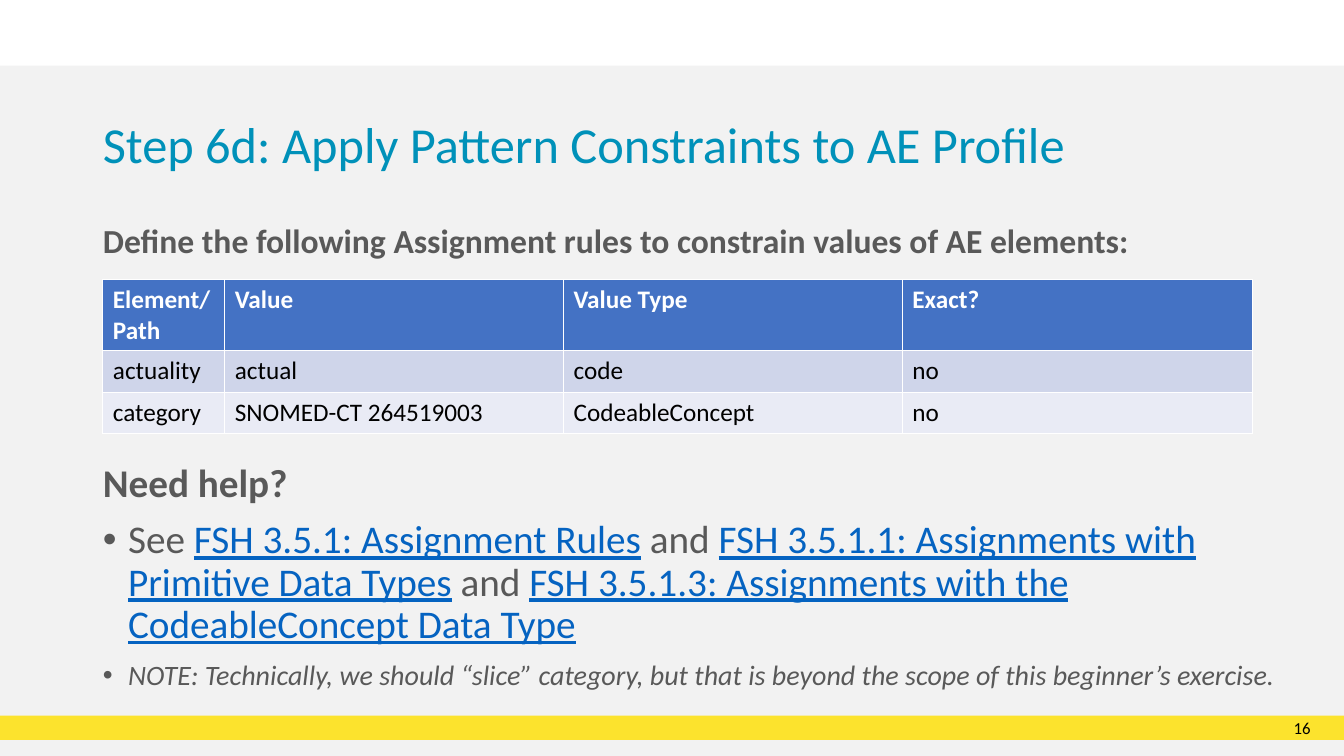
from lxml import etree
from pptx import Presentation
from pptx.dml.color import RGBColor
from pptx.enum.shapes import MSO_SHAPE
from pptx.enum.text import MSO_ANCHOR, MSO_AUTO_SIZE, PP_ALIGN
from pptx.oxml.ns import qn
from pptx.util import Inches, Pt

RECTANGLE = MSO_SHAPE.RECTANGLE
TOP, MIDDLE = MSO_ANCHOR.TOP, MSO_ANCHOR.MIDDLE
LEFT, RIGHT = PP_ALIGN.LEFT, PP_ALIGN.RIGHT
NO_AUTOFIT = MSO_AUTO_SIZE.NONE

WHITE = RGBColor(0xFF, 0xFF, 0xFF)
BLACK = RGBColor(0, 0, 0)
PANEL_GREY = RGBColor(0xF2, 0xF2, 0xF2)
YELLOW = RGBColor(0xFC, 0xE3, 0x2D)
TEAL = RGBColor(0x00, 0x91, 0xB9)
TEXT_GREY = RGBColor(0x59, 0x59, 0x59)
LINK_BLUE = RGBColor(0x05, 0x63, 0xC1)
HEADER_BLUE = RGBColor(0x44, 0x72, 0xC4)
ROW_FILLS = [RGBColor(0xCF, 0xD5, 0xEA), RGBColor(0xE9, 0xEB, 0xF5)]
FONT = "Calibri"

TITLE = "Step 6d: Apply Pattern Constraints to AE Profile"
INTRO = "Define the following Assignment rules to constrain values of AE elements:"
RULES = [
    ("Element/Path", "Value", "Value Type", "Exact?"),
    ("actuality", "actual", "code", "no"),
    ("category", "SNOMED-CT 264519003", "CodeableConcept", "no"),
]
HELP_HEADING = "Need help?"
# (text, is it a reference)
HELP_RUNS = [
    ("See ", False),
    ("FSH 3.5.1: Assignment Rules", True),
    (" and ", False),
    ("FSH 3.5.1.1: Assignments with Primitive Data Types", True),
    (" and ", False),
    ("FSH 3.5.1.3: Assignments with the CodeableConcept Data Type", True),
]
NOTE = ("NOTE: Technically, we should “slice” category, but that is beyond "
        "the scope of this beginner’s exercise.")
PAGE_NUMBER = "16"

SLIDE_W, SLIDE_H = 13.33, 7.5
MARGIN, BODY_W = 0.92, 11.86
PANEL_TOP = 0.65
STRIPE_TOP, STRIPE_H = 7.1, 0.24
COLUMN_WIDTHS = [1.21, 3.36, 3.36, 3.47]
ROW_HEIGHTS = [0.7, 0.41, 0.41]


def place(shape, left, top, width, height):
    shape.left, shape.top = Inches(left), Inches(top)
    shape.width, shape.height = Inches(width), Inches(height)
    frame = shape.text_frame
    frame.word_wrap = True
    frame.auto_size = NO_AUTOFIT
    frame.vertical_anchor = TOP
    return frame


def style(paragraph, size, color, bold=False, italic=False):
    font = paragraph.font
    font.name, font.size, font.bold, font.italic = FONT, Pt(size), bold, italic
    font.color.rgb = color


def body_style(paragraph, size, color=TEXT_GREY, bullet=False, before=0, **emphasis):
    paragraph.alignment = LEFT
    paragraph.line_spacing = 0.9
    paragraph.space_before = Pt(before)
    properties = paragraph._p.get_or_add_pPr()
    indent = Inches(0.25) if bullet else 0
    properties.set("marL", str(indent))
    properties.set("indent", str(-indent))
    if bullet:
        etree.SubElement(properties, qn("a:buFont")).set("typeface", "Arial")
        etree.SubElement(properties, qn("a:buChar")).set("char", "•")
    else:
        etree.SubElement(properties, qn("a:buNone"))
    style(paragraph, size, color, **emphasis)


def add_band(slide, order, top, height, color):
    """Full-width bar, put behind the placeholders."""
    band = slide.shapes.add_shape(RECTANGLE, 0, Inches(top),
                                  Inches(SLIDE_W), Inches(height))
    band.shadow.inherit = False
    band.fill.solid()
    band.fill.fore_color.rgb = color
    band.line.fill.background()
    band._element.getparent().insert(2 + order, band._element)


def add_rules_table(slide):
    table = slide.shapes.add_table(
        len(RULES), len(COLUMN_WIDTHS), Inches(MARGIN + 0.1), Inches(2.77),
        Inches(sum(COLUMN_WIDTHS)), Inches(sum(ROW_HEIGHTS))).table
    for column, width in zip(table.columns, COLUMN_WIDTHS):
        column.width = Inches(width)
    for r, rule in enumerate(RULES):
        table.rows[r].height = Inches(ROW_HEIGHTS[r])
        header = r == 0
        for c, value in enumerate(rule):
            cell = table.cell(r, c)
            cell.text = value
            cell.fill.solid()
            cell.fill.fore_color.rgb = HEADER_BLUE if header else ROW_FILLS[r - 1]
            style(cell.text_frame.paragraphs[0], 18,
                  WHITE if header else BLACK, bold=header)


def add_help(placeholder):
    frame = place(placeholder, MARGIN, 4.55, BODY_W, 2.44)
    frame.text = HELP_HEADING
    body_style(frame.paragraphs[0], 28, bold=True)

    references = frame.add_paragraph()
    body_style(references, 28, bullet=True, before=10)
    for text, is_reference in HELP_RUNS:
        run = references.add_run()
        run.text = text
        run.font.size = Pt(28)
        run.font.color.rgb = LINK_BLUE if is_reference else TEXT_GREY
        run.font.underline = is_reference

    note = frame.add_paragraph()
    note.text = NOTE
    body_style(note, 20, bullet=True, before=10, italic=True)


def add_page_number(slide):
    box = slide.shapes.add_textbox(0, 0, 0, 0)
    frame = place(box, 12.55, STRIPE_TOP, 0.45, STRIPE_H)
    frame.margin_left = frame.margin_right = 0
    frame.margin_top = frame.margin_bottom = 0
    frame.vertical_anchor = MIDDLE
    frame.text = PAGE_NUMBER
    frame.paragraphs[0].alignment = RIGHT
    style(frame.paragraphs[0], 12, BLACK)


def main():
    deck = Presentation()
    deck.slide_width, deck.slide_height = Inches(SLIDE_W), Inches(SLIDE_H)
    slide = deck.slides.add_slide(deck.slide_layouts.get_by_name("Two Content"))
    title, intro, help_box = slide.placeholders

    add_band(slide, 0, PANEL_TOP, SLIDE_H - PANEL_TOP, PANEL_GREY)
    add_band(slide, 1, STRIPE_TOP, STRIPE_H, YELLOW)

    title_frame = place(title, MARGIN, 1.14, 11.5, 0.97)
    title_frame.text = TITLE
    body_style(title_frame.paragraphs[0], 36, TEAL)

    intro_frame = place(intro, MARGIN, 2.18, BODY_W, 0.59)
    intro_frame.text = INTRO
    body_style(intro_frame.paragraphs[0], 24, bold=True)

    add_rules_table(slide)
    add_help(help_box)
    add_page_number(slide)
    deck.save("out.pptx")


if __name__ == "__main__":
    main()
